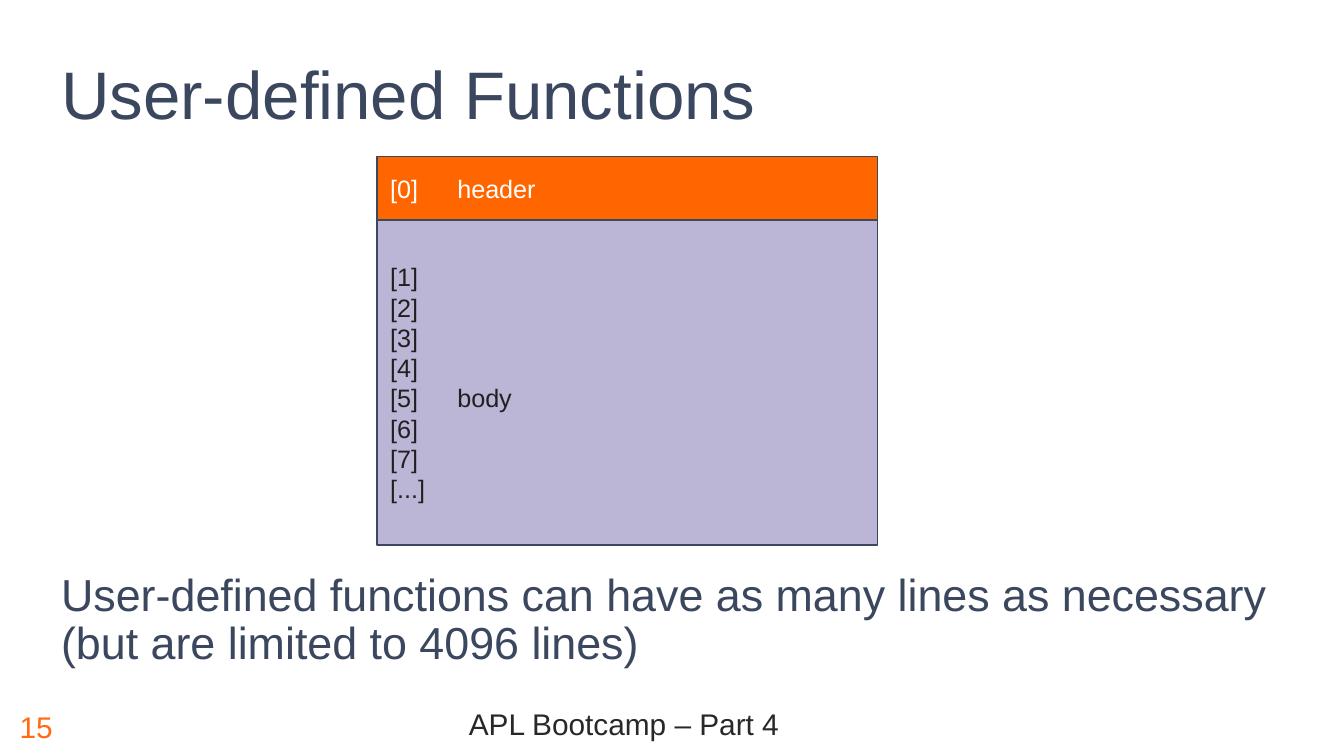
from pptx import Presentation
from pptx.dml.color import RGBColor
from pptx.enum.shapes import MSO_SHAPE
from pptx.enum.text import MSO_ANCHOR, MSO_AUTO_SIZE, PP_ALIGN
from pptx.oxml.ns import qn
from pptx.util import Pt
from lxml.etree import SubElement

NAVY, ORANGE, INK = "3B475E", "FF6A13", "282828"


def rgb(color):
    return RGBColor.from_string(color)


def place(sp, x, y, w, h):
    sp.left, sp.top, sp.width, sp.height = Pt(x), Pt(y), Pt(w), Pt(h)


def write(sp, lines, size, color, anchor=MSO_ANCHOR.MIDDLE,
          align=PP_ALIGN.LEFT, spacing=1.0, tab=None):
    tf = sp.text_frame
    tf.word_wrap = True
    tf.auto_size = MSO_AUTO_SIZE.NONE
    tf.vertical_anchor = anchor
    for i, line in enumerate(lines):
        p = tf.add_paragraph() if i else tf.paragraphs[0]
        p.alignment, p.line_spacing, p.space_before = align, spacing, Pt(0)
        pPr = p._p.get_or_add_pPr()
        pPr.set("marL", "0")
        pPr.set("indent", "0")
        SubElement(pPr, qn("a:buNone"))
        if tab:
            tabs = SubElement(pPr, qn("a:tabLst"))
            SubElement(tabs, qn("a:tab"), pos=str(Pt(tab)), algn="l")
        r = p.add_run()
        r.text = line
        r.font.name, r.font.size = "Arial", Pt(size)
        r.font.color.rgb = rgb(color)


def add_block(s, x, y, w, h, fill, lines, color, tab):
    sp = s.shapes.add_shape(MSO_SHAPE.RECTANGLE, Pt(x), Pt(y), Pt(w), Pt(h))
    sp.shadow.inherit = False
    sp.fill.solid()
    sp.fill.fore_color.rgb = rgb(fill)
    sp.line.color.rgb = rgb(NAVY)
    sp.line.width = Pt(0.75)
    write(sp, lines, 13.5, color, tab=tab)


def add_function_diagram(s, x, y, w, h):
    head = 34
    add_block(s, x, y, w, head, "FF6600", ["[0]\theader"], "FFFFFF", 148)
    labels = [f"[{n}]" for n in range(1, 8)] + ["[...]"]
    labels[4] += "\tbody"
    add_block(s, x, y + head, w, h - head, "BBB5D6", labels, "231F20", 151.5)


def add_footer(s, x, y, w, h):
    number_w = 52.5
    number = s.shapes.add_textbox(Pt(x), Pt(y), Pt(number_w), Pt(h))
    write(number, ["15"], 16, ORANGE)
    label = s.shapes.add_textbox(Pt(x + number_w), Pt(y), Pt(w - number_w), Pt(h))
    write(label, ["APL Bootcamp – Part 4"], 16, INK,
          align=PP_ALIGN.CENTER, spacing=0.8)


def add_content(s, x, y, w, h):
    title, body = s.shapes.title, s.placeholders[1]
    place(title, x, y, 512.5, 54)
    write(title, ["User-defined Functions"], 36, NAVY, MSO_ANCHOR.BOTTOM)
    body_h = 60
    place(body, x, y + h - body_h, w, body_h)
    write(body, ["User-defined functions can have as many lines as necessary "
                 "(but are limited to 4096 lines)"],
          24, NAVY, MSO_ANCHOR.TOP, spacing=0.9)


def main():
    prs = Presentation()
    prs.slide_width, prs.slide_height = Pt(720), Pt(405)
    s = prs.slides.add_slide(prs.slide_layouts[1])
    s.background.fill.solid()
    s.background.fill.fore_color.rgb = rgb("FFFFFF")
    add_footer(s, 3.5, 373.5, 609, 31.5)
    add_content(s, 25.5, 21, 666, 342)
    add_function_diagram(s, 202, 84, 268, 208)
    prs.save("out.pptx")


if __name__ == "__main__":
    main()
